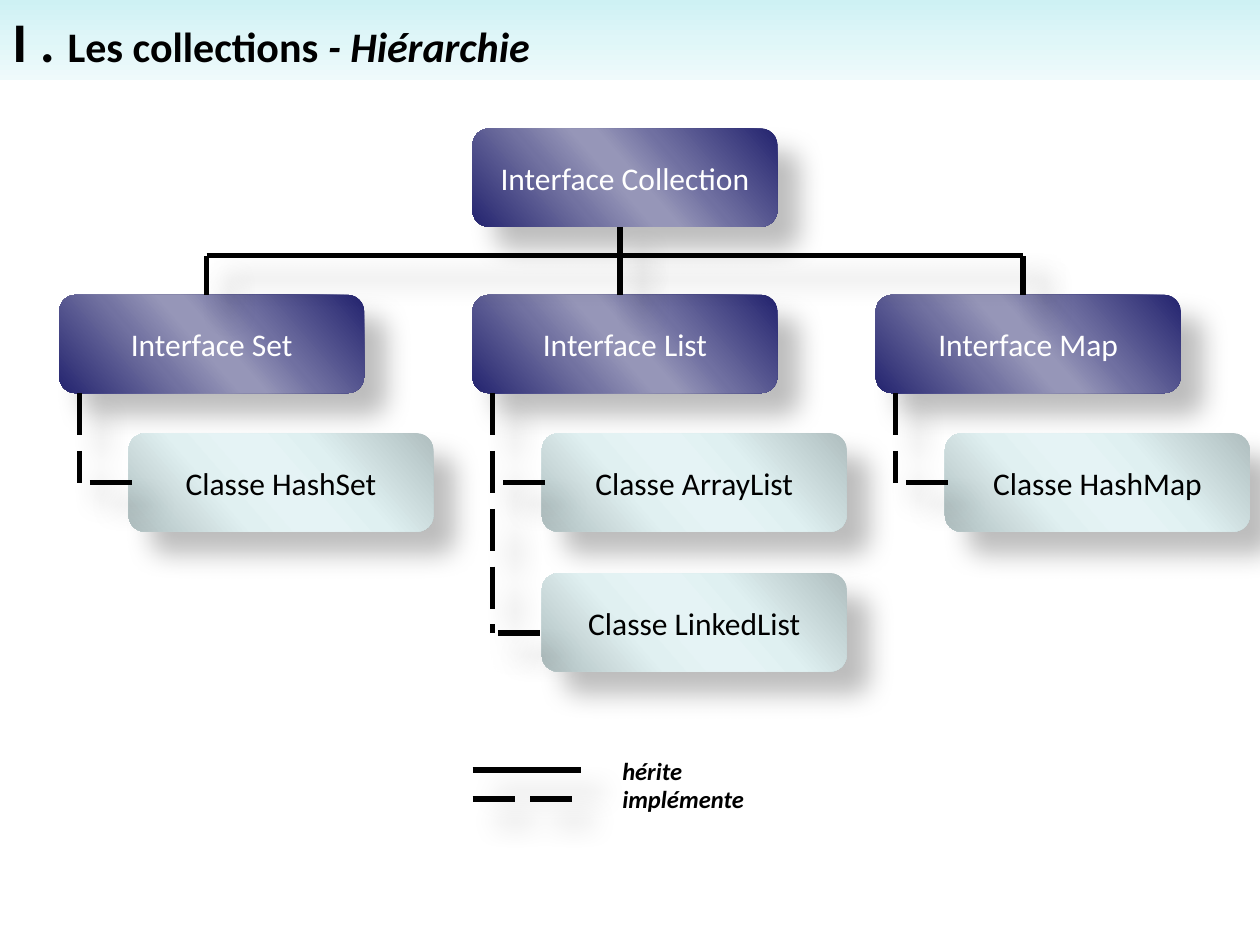
"""Build the slide showing the hierarchy of the Java collections."""
import pptx
import pptx.dml.color
import pptx.enum.dml
import pptx.enum.shapes
import pptx.enum.text
import pptx.oxml
import pptx.oxml.ns
import pptx.util

Pt = pptx.util.Pt
SHAPES = pptx.enum.shapes.MSO_SHAPE

TITLE = [("I . ", 32, False), ("Les collections", 24, False), (" - Hiérarchie", 24, True)]
ROOT = "Interface Collection"
BRANCHES = [
    ("Interface Set", 33.84, ["Classe HashSet"]),
    ("Interface List", 270, ["Classe ArrayList", "Classe LinkedList"]),
    ("Interface Map", 500.4, ["Classe HashMap"]),
]
LEGEND = [("hérite", 428.4, 440, False), ("implémente", 444.4, 456.6, True)]

THEME = {
    "font": "Calibri",
    "black": "000000",
    "white": "FFFFFF",
    "box_size": 18,
    "legend_size": 14,
    "line_width": 3,
    "header": ([(0, "CEF1F4"), (50, "DFF6F8"), (100, "EFFAFB")], 90),
    "interface": ([(0, "24246F"), (33, "7070A1"), (47, "9696B8"), (53, "9696B8"),
                   (68, "7272A1"), (100, "24246F")], 139),
    "class": ([(0, "AFBEBF"), (33, "DFF0F1"), (47, "E5F3F5"), (53, "E5F3F5"),
               (68, "E0F0F1"), (100, "AFBEBF")], 139),
}

BOX_WIDTH, BOX_HEIGHT = 174.24, 56.16
ROOT_LEFT, ROOT_TOP = 270, 73.44
INTERFACE_TOP, CLASS_TOP, CLASS_STEP = 168.48, 247.68, 79.92
CLASS_INDENT, STEM_INDENT = 39.6, 11.5
ARM_INDENT, ARM_LENGTH = 17.5, 28.4
DROP_INDENT, BUS_Y = 84.24, 146.16
LEGEND_LEFT, LEGEND_LINE, LEGEND_TEXT = 270, 62, 348.48


def color(name):
    return pptx.dml.color.RGBColor.from_string(THEME[name])


def add_properties(shape, xml):
    namespaces = pptx.oxml.ns.nsdecls("a")
    element = pptx.oxml.parse_xml(xml.replace(">", f" {namespaces}>", 1))
    shape._element.spPr.append(element)


def add_shadow(shape):
    add_properties(shape, (
        f'<a:effectLst><a:outerShdw blurRad="{Pt(15)}" dist="{Pt(18)}" dir="{45 * 60000}" '
        'algn="tl" rotWithShape="0"><a:srgbClr val="000000"><a:alpha val="26000"/>'
        '</a:srgbClr></a:outerShdw></a:effectLst>'))


def add_panel(slide, kind, left, top, width, height, gradient):
    shape = slide.shapes.add_shape(kind, Pt(left), Pt(top), Pt(width), Pt(height))
    stops, angle = THEME[gradient]
    stop_xml = "".join(f'<a:gs pos="{position * 1000}"><a:srgbClr val="{value}"/></a:gs>'
                       for position, value in stops)
    add_properties(shape, f'<a:gradFill><a:gsLst>{stop_xml}</a:gsLst>'
                          f'<a:lin ang="{angle * 60000}" scaled="0"/></a:gradFill>')
    shape.line.fill.background()
    return shape


def style_font(font, size, color_name="black", bold=False, italic=False):
    font.name = THEME["font"]
    font.size = Pt(size)
    font.color.rgb = color(color_name)
    font.bold = bold
    font.italic = italic


def add_header(slide):
    shape = add_panel(slide, SHAPES.RECTANGLE, 0, 0, 720, 46, "header")
    shape.shadow.inherit = False
    shape.text_frame.vertical_anchor = pptx.enum.text.MSO_ANCHOR.TOP
    paragraph = shape.text_frame.paragraphs[0]
    paragraph.alignment = pptx.enum.text.PP_ALIGN.LEFT
    for text, size, italic in TITLE:
        run = paragraph.add_run()
        run.text = text
        style_font(run.font, size, bold=True, italic=italic)


def add_box(slide, text, left, top, gradient, text_color):
    shape = add_panel(slide, SHAPES.ROUNDED_RECTANGLE, left, top, BOX_WIDTH, BOX_HEIGHT, gradient)
    add_shadow(shape)
    shape.text_frame.text = text
    shape.text_frame.vertical_anchor = pptx.enum.text.MSO_ANCHOR.MIDDLE
    paragraph = shape.text_frame.paragraphs[0]
    paragraph.alignment = pptx.enum.text.PP_ALIGN.CENTER
    style_font(paragraph.runs[0].font, THEME["box_size"], text_color)


def add_line(slide, start, end, dashed=False):
    connector = slide.shapes.add_connector(
        pptx.enum.shapes.MSO_CONNECTOR.STRAIGHT, *(Pt(value) for value in (*start, *end)))
    connector.line.color.rgb = color("black")
    connector.line.width = Pt(THEME["line_width"])
    if dashed:
        connector.line.dash_style = pptx.enum.dml.MSO_LINE.LONG_DASH
    add_shadow(connector)


def add_bus(slide):
    drops = [left + DROP_INDENT for _, left, _ in BRANCHES]
    trunk = ROOT_LEFT + DROP_INDENT
    add_line(slide, (trunk, ROOT_TOP + BOX_HEIGHT), (trunk, BUS_Y))
    add_line(slide, (drops[0], BUS_Y), (drops[-1], BUS_Y))
    for drop in drops:
        add_line(slide, (drop, BUS_Y), (drop, INTERFACE_TOP))


def add_branch(slide, name, left, classes):
    add_box(slide, name, left, INTERFACE_TOP, "interface", "white")
    middles = []
    for index, class_name in enumerate(classes):
        top = CLASS_TOP + index * CLASS_STEP
        add_box(slide, class_name, left + CLASS_INDENT, top, "class", "black")
        middles.append(top + BOX_HEIGHT / 2)
    stem, arm = left + STEM_INDENT, left + ARM_INDENT
    add_line(slide, (stem, INTERFACE_TOP + BOX_HEIGHT), (stem, middles[-1] + 6 * len(classes) - 6), True)
    for index, middle in enumerate(middles):
        start = arm - 3 * index
        y = middle + 6 * index
        add_line(slide, (start, y), (start + ARM_LENGTH, y), True)


def add_legend(slide):
    for text, top, line_y, dashed in LEGEND:
        add_line(slide, (LEGEND_LEFT, line_y), (LEGEND_LEFT + LEGEND_LINE, line_y), dashed)
        box = slide.shapes.add_textbox(Pt(LEGEND_TEXT), Pt(top), Pt(145), Pt(24.5))
        box.text_frame.word_wrap = True
        box.text_frame.text = text
        style_font(box.text_frame.paragraphs[0].runs[0].font, THEME["legend_size"],
                   bold=True, italic=True)


def main():
    presentation = pptx.Presentation()
    presentation.slide_width, presentation.slide_height = Pt(720), Pt(540)
    slide = presentation.slides.add_slide(presentation.slide_layouts[6])
    add_header(slide)
    add_box(slide, ROOT, ROOT_LEFT, ROOT_TOP, "interface", "white")
    for branch in BRANCHES:
        add_branch(slide, *branch)
    add_bus(slide)
    add_legend(slide)
    presentation.save("out.pptx")


if __name__ == "__main__":
    main()
